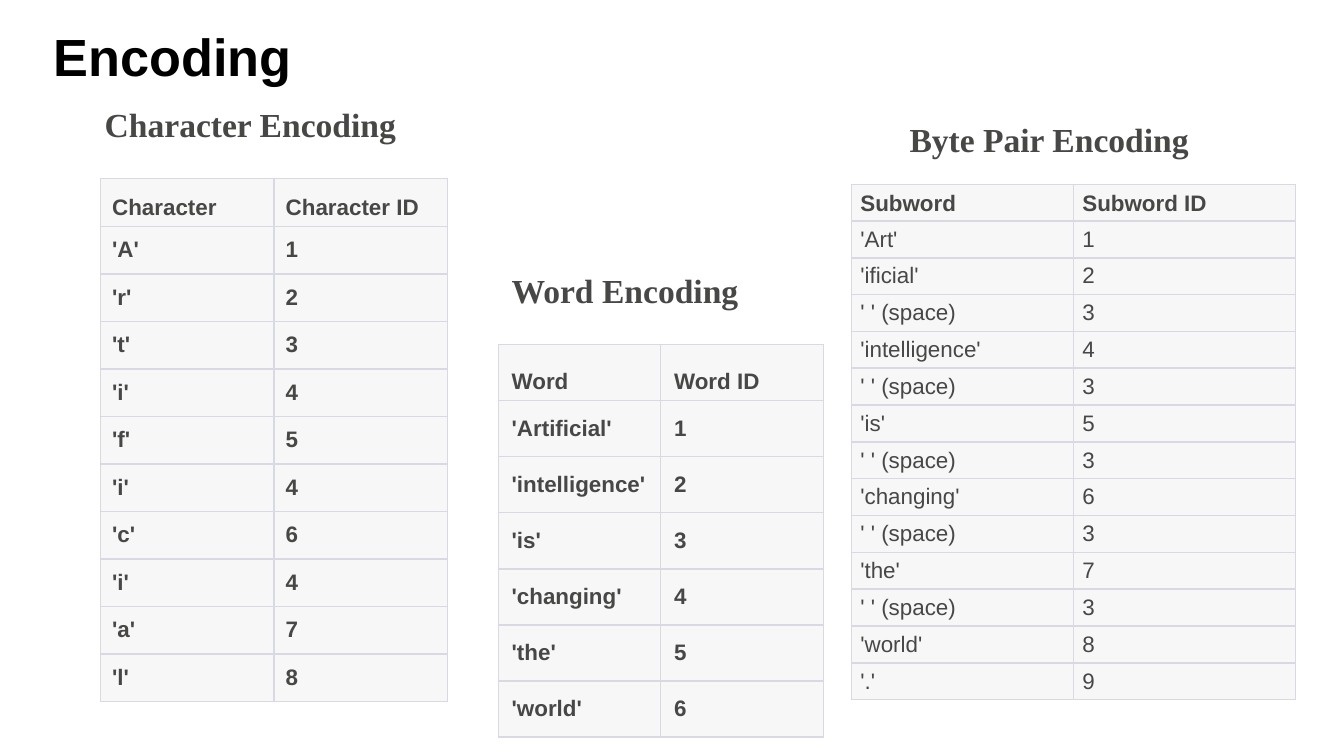
import lxml.etree
import pptx
import pptx.dml.color
import pptx.enum.text
import pptx.oxml.ns
import pptx.util

Cm = pptx.util.Cm
Anchor = pptx.enum.text.MSO_ANCHOR
INK, FILL, RULE = "474746", "F7F7F8", "D9D9E3"

CHARS = [("Character", "Character ID"), ("'A'", 1), ("'r'", 2), ("'t'", 3),
         ("'i'", 4), ("'f'", 5), ("'i'", 4), ("'c'", 6), ("'i'", 4),
         ("'a'", 7), ("'l'", 8)]
WORDS = [("Word", "Word ID"), ("'Artificial'", 1), ("'intelligence'", 2),
         ("'is'", 3), ("'changing'", 4), ("'the'", 5), ("'world'", 6)]
SPACE = ("' ' (space)", 3)
PAIRS = [("Subword", "Subword ID"), ("'Art'", 1), ("'ificial'", 2), SPACE,
         ("'intelligence'", 4), SPACE, ("'is'", 5), SPACE, ("'changing'", 6),
         SPACE, ("'the'", 7), SPACE, ("'world'", 8), ("'.'", 9)]


def color(code):
    """Return the colour for a hex string."""
    return pptx.dml.color.RGBColor.from_string(code)


def style(frame, size, face, code, bold=True):
    """Format every run in a text frame."""
    for para in frame.paragraphs:
        for run in para.runs:
            font = run.font
            font.size, font.name, font.bold = pptx.util.Pt(size), face, bold
            font.color.rgb = color(code)


def label(slide, box, text, size, face, code, inset):
    """Place one line of bold text, centred vertically in its box."""
    frame = slide.shapes.add_textbox(*map(Cm, box)).text_frame
    frame.word_wrap = True
    frame.vertical_anchor = Anchor.MIDDLE
    frame.margin_left = frame.margin_right = Cm(inset)
    frame.margin_top = frame.margin_bottom = Cm(0.13)
    frame.text = text
    style(frame, size, face, code)


def border(cell, widths):
    """Draw the cell's sides with the given widths in points."""
    props = cell._tc.get_or_add_tcPr()
    qn = pptx.oxml.ns.qn
    for side, width in widths.items():
        line = lxml.etree.SubElement(props, qn("a:ln" + side),
                                     w=str(pptx.util.Pt(width)))
        solid = lxml.etree.SubElement(line, qn("a:solidFill"))
        lxml.etree.SubElement(solid, qn("a:srgbClr"), val=RULE)


def grid(slide, box, rows, pad, bold):
    """Fill the box with a two-column table of equal cells."""
    table = slide.shapes.add_table(len(rows), 2, *map(Cm, box)).table
    table.first_row = table.horz_banding = False
    for col in table.columns:
        col.width = Cm(box[2] / 2)
    last = len(rows) - 1
    for r, row in enumerate(rows):
        table.rows[r].height = Cm(box[3] / len(rows))
        for c, value in enumerate(row):
            cell = table.cell(r, c)
            cell.margin_left = cell.margin_right = Cm(pad)
            cell.margin_top = cell.margin_bottom = Cm(pad / 2)
            cell.vertical_anchor = Anchor.MIDDLE if r else Anchor.BOTTOM
            border(cell, {"L": 0.75, "R": 0.75, "T": 1 if r else 0.75,
                          "B": 1 if r < last else 0.75})
            cell.fill.solid()
            cell.fill.fore_color.rgb = color(FILL)
            cell.text_frame.text = str(value)
            style(cell.text_frame, 12, "Arial", INK, bold or r == 0)


def panel(slide, head, box, text, rows, pad, bold=True):
    """Place a heading and the table under it."""
    grid(slide, box, rows, pad, bold)
    label(slide, head, text, 18, "Times New Roman", INK, 0.25)


def main():
    """Build and save the slide."""
    deck = pptx.Presentation()
    deck.slide_width, deck.slide_height = Cm(25.4), Cm(14.29)
    slide = deck.slides.add_slide(deck.slide_layouts[6])
    label(slide, (0.89, 0.3, 22.78, 1.52), "Encoding", 28, "Arial",
          "000000", 0.13)
    panel(slide, (1.73, 1.83, 8.05, 1.02), (1.9, 3.38, 6.56, 9.88),
          "Character Encoding", CHARS, 0.22)
    panel(slide, (9.42, 4.98, 5.61, 1.02), (9.42, 6.51, 6.14, 7.42),
          "Word Encoding", WORDS, 0.25)
    panel(slide, (16.94, 2.11, 6.76, 1.02), (16.09, 3.48, 8.39, 9.75),
          "Byte Pair Encoding", PAIRS, 0.17, False)
    deck.save("out.pptx")


if __name__ == "__main__":
    main()
